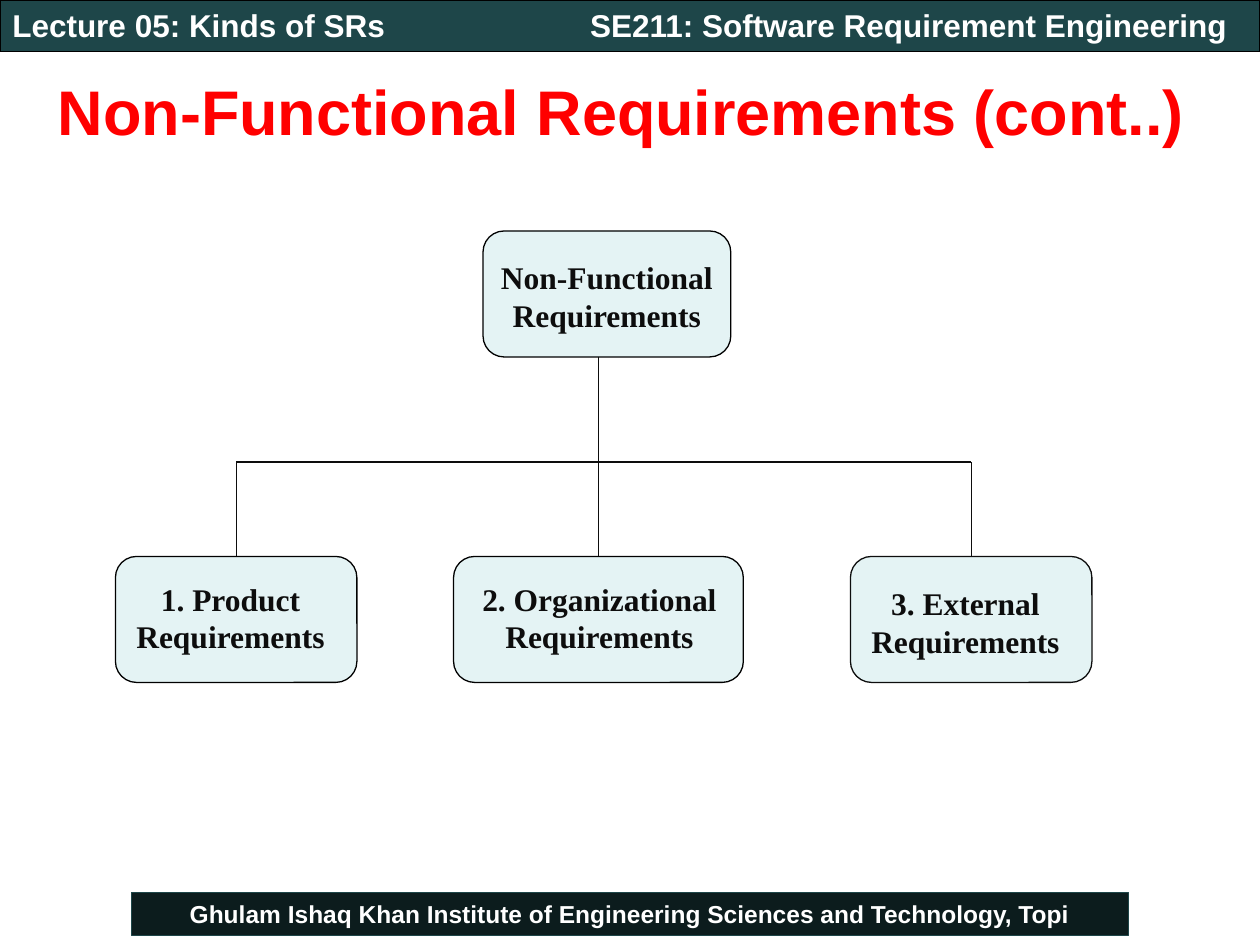
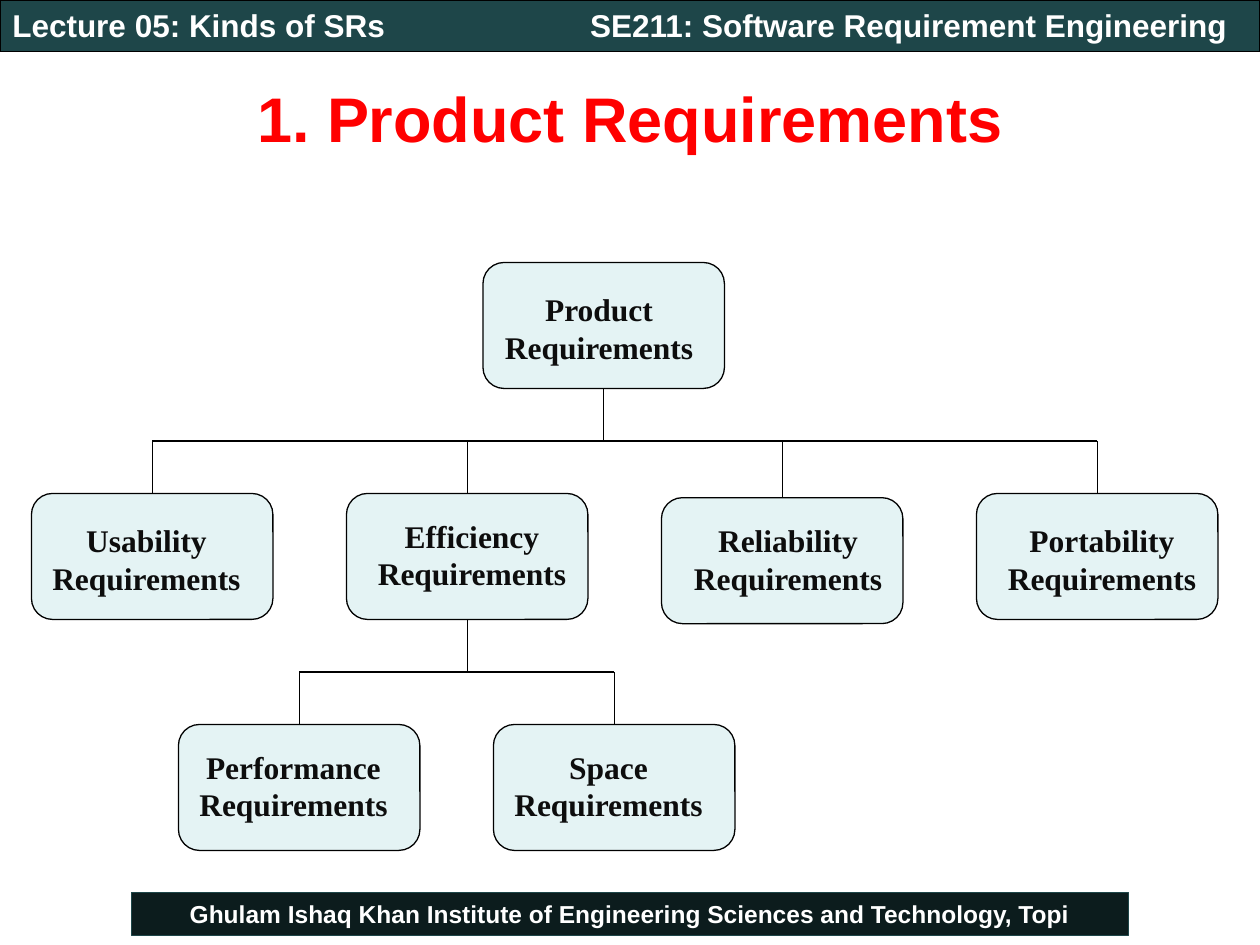
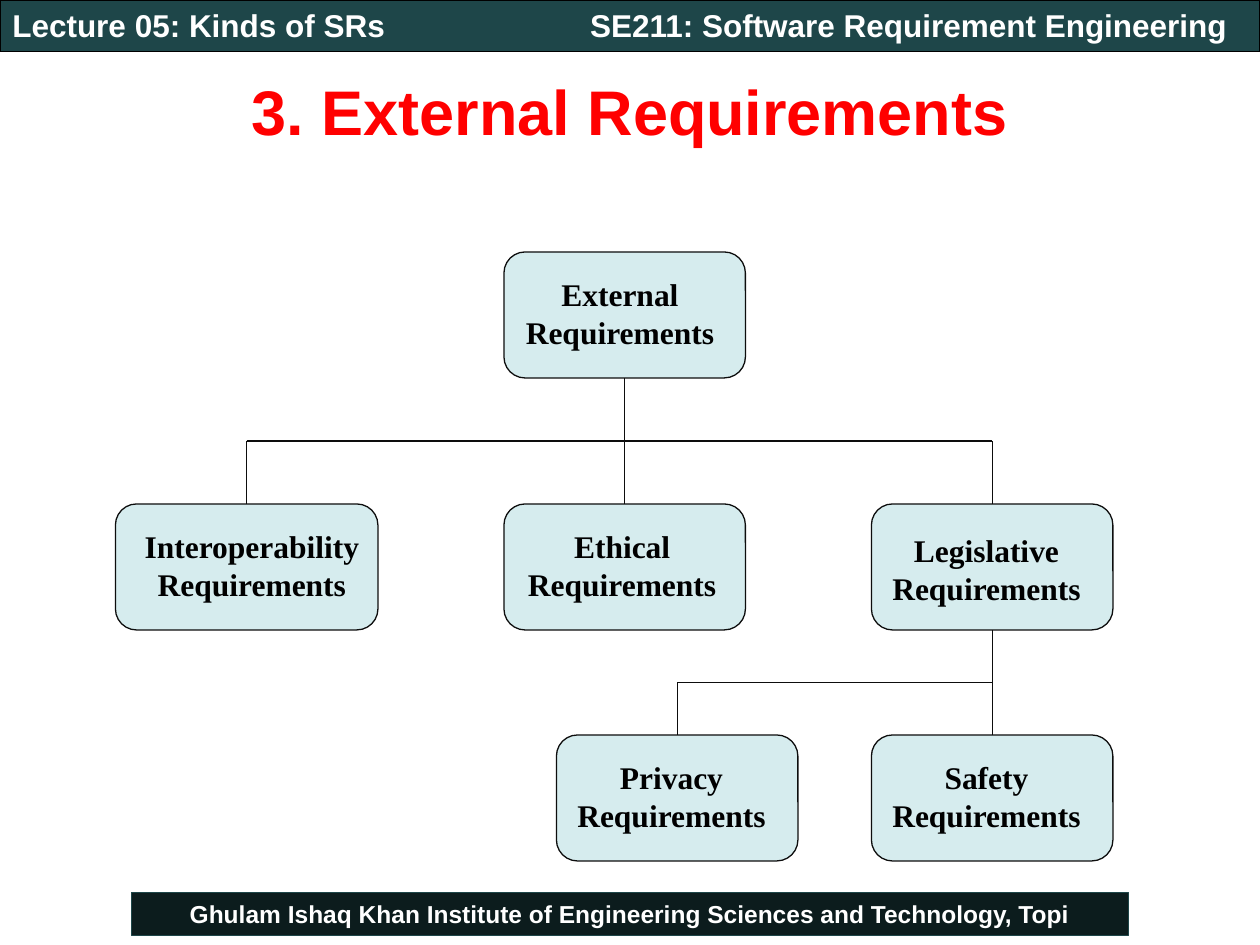
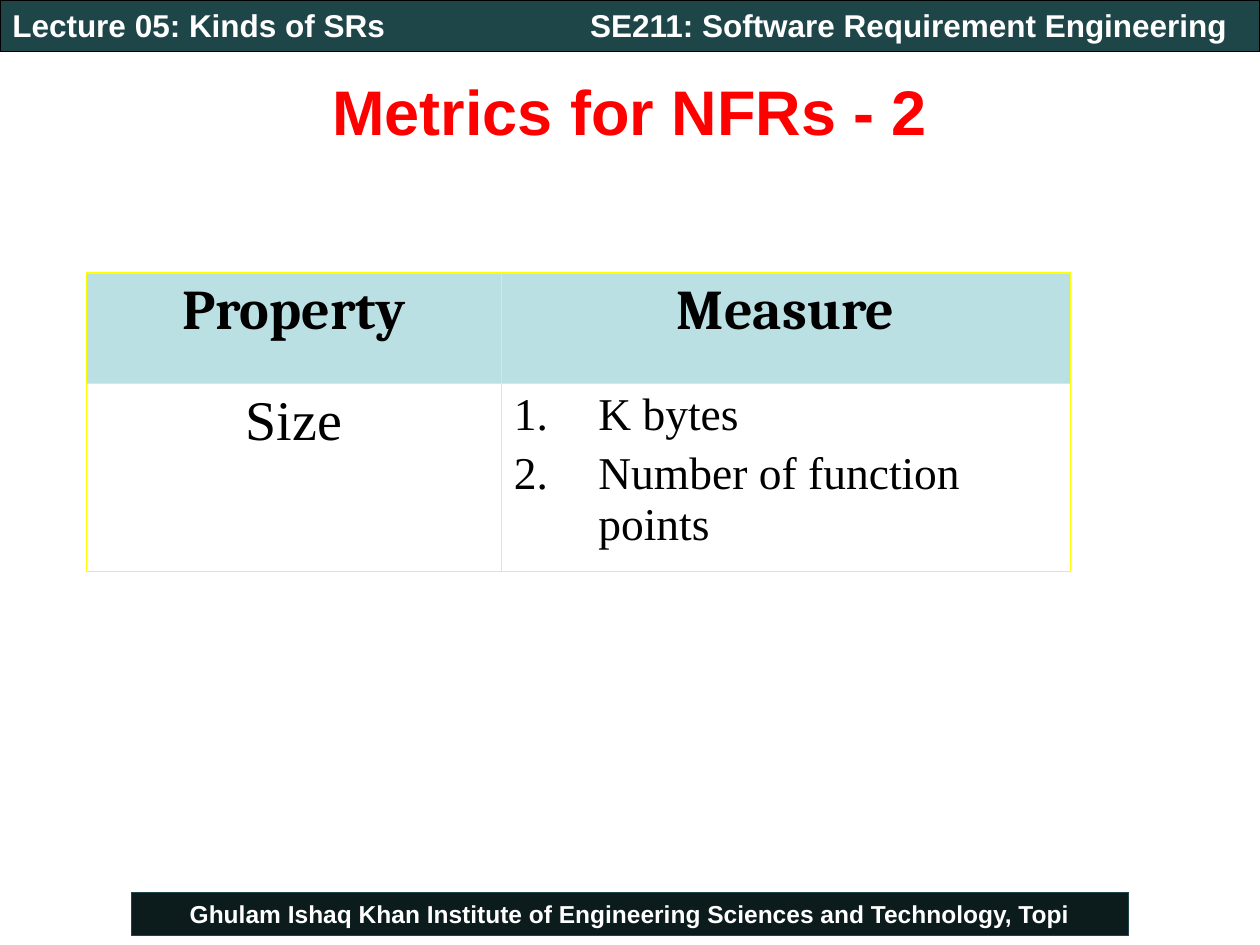
"""Build four lecture slides on non-functional requirements."""
import dataclasses
import typing

import lxml.etree
import pptx
import pptx.dml.color
import pptx.enum.shapes
import pptx.enum.text
import pptx.oxml.ns
import pptx.util

WIDTH, HEIGHT = pptx.util.Inches(10), pptx.util.Inches(7.5)
COLUMNS, ROWS = 120, 90
SHAPES = pptx.enum.shapes.MSO_SHAPE
ALIGN = pptx.enum.text.PP_ALIGN
ANCHOR = pptx.enum.text.MSO_ANCHOR
BLACK, INK, WHITE, RED = "000000", "0D0D0D", "FFFFFF", "FF0000"
BAND, FOOTER, MINT, AQUA = "1E4649", "0C1C1D", "E4F3F4", "D6ECEE"
HEADER_FILL, YELLOW, GRAY = "BBE0E3", "FFFF00", "E0E0E0"
SANS, SERIF, HEADING = "Arial", "Times New Roman", "Cambria"


@dataclasses.dataclass(frozen=True)
class Area:
    left: float
    top: float
    width: float
    height: float

    @property
    def middle(self) -> float:
        return self.left + self.width / 2

    @property
    def bottom(self) -> float:
        return self.top + self.height


@dataclasses.dataclass(frozen=True)
class Style:
    size: float
    font: str
    color: str
    bold: bool = True
    align: typing.Any = ALIGN.CENTER


@dataclasses.dataclass(frozen=True)
class Node:
    kind: str
    left: float
    top: float
    inset: float = 0.7
    drop: float = 1.6
    width: float = 23
    label_width: float = 20.5
    outline: str = BLACK

    @property
    def area(self) -> Area:
        return Area(self.left, self.top, self.width, 12)

    @property
    def label(self) -> Area:
        return Area(self.left + self.inset, self.top + self.drop, self.label_width, 8.5)


@dataclasses.dataclass(frozen=True)
class Branch:
    parent: str
    bus: float
    children: tuple[str, ...]
    through: str = ""


@dataclasses.dataclass(frozen=True)
class Tree:
    title: str
    title_area: Area
    fill: str
    ink: str
    line: str
    nodes: tuple[Node, ...]
    branches: tuple[Branch, ...]


TITLE_AREA = Area(0, 5, 120, 11)
TITLE_STYLE = Style(36, SANS, RED)
BAND_STYLE = Style(18, SANS, WHITE, align=ALIGN.LEFT)

TREES = (
    Tree("Non-Functional Requirements (cont..) ", TITLE_AREA, MINT, INK, INK, (
        Node("Non-Functional", 46, 22, 0.4, 2, 23.6, 22.8),
        Node("2. Organizational", 43.2, 53, 1.4, width=27.6, label_width=25),
        Node("3. External", 81, 53, drop=2, outline=INK),
        Node("1. Product", 11, 53),
    ), (
        Branch("Non-Functional", 44, ("1. Product", "3. External"), "2. Organizational"),
    )),
    Tree("1. Product Requirements", Area(8.3, 4.4, 103.4, 13.5), MINT, INK, BLACK, (
        Node("Product", 46, 25, 0.8, 2),
        Node("Usability", 3, 47, drop=2),
        Node("Efficiency", 33, 47, 1.7),
        Node("Reliability", 63, 47.4, 1.8),
        Node("Portability", 93, 47, 1.7, 2),
        Node("Performance", 17, 69),
        Node("Space", 47, 69),
    ), (
        Branch("Product", 42, ("Usability", "Efficiency", "Reliability", "Portability")),
        Branch("Efficiency", 64, ("Performance", "Space")),
    )),
    Tree("3. External Requirements", TITLE_AREA, AQUA, BLACK, INK, (
        Node("External", 48, 24, 0.8, outline=INK),
        Node("Interoperability", 11, 48, 1.5, width=25, label_width=23, outline=INK),
        Node("Ethical", 48, 48, 1, outline=INK),
        Node("Legislative", 83, 48, drop=2, outline=INK),
        Node("Privacy", 53, 70, outline=INK),
        Node("Safety", 83, 70, outline=INK),
    ), (
        Branch("External", 42, ("Interoperability", "Ethical", "Legislative")),
        Branch("Legislative", 65, ("Privacy", "Safety")),
    )),
)


def hue(code: str) -> pptx.dml.color.RGBColor:
    """Turn a hex string into a colour."""
    return pptx.dml.color.RGBColor.from_string(code)


def across(columns: float) -> int:
    """Turn grid columns into a length."""
    return round(WIDTH * columns / COLUMNS)


def down(rows: float) -> int:
    """Turn grid rows into a length."""
    return round(HEIGHT * rows / ROWS)


def place(area: Area) -> tuple[int, int, int, int]:
    """Turn a grid area into left, top, width and height."""
    return across(area.left), down(area.top), across(area.width), down(area.height)


def assign(target: typing.Any, values: dict[str, typing.Any]) -> None:
    """Set each named attribute of the target."""
    for name, value in values.items():
        setattr(target, name, value)


def write(frame: typing.Any, lines: typing.Sequence[str], style: Style) -> None:
    """Write one styled paragraph for each line."""
    for index, line in enumerate(lines):
        para = frame.add_paragraph() if index else frame.paragraphs[0]
        para.alignment = style.align
        span = para.add_run()
        span.text = line
        assign(span.font, {"size": pptx.util.Pt(style.size), "name": style.font, "bold": style.bold})
        span.font.color.rgb = hue(style.color)


def add_box(page: typing.Any, area: Area, fill: str, outline: str = "", kind: typing.Any = SHAPES.RECTANGLE) -> typing.Any:
    """Draw a filled shape, outlined if a colour is given."""
    box = page.shapes.add_shape(kind, *place(area))
    box.shadow.inherit = False
    box.fill.solid()
    box.fill.fore_color.rgb = hue(fill)
    if outline:
        box.line.color.rgb = hue(outline)
        box.line.width = pptx.util.Pt(0.75)
    else:
        box.line.fill.background()
    assign(box.text_frame, {"vertical_anchor": ANCHOR.TOP, "word_wrap": True})
    return box


def add_text(page: typing.Any, area: Area, text: str, style: Style, frame_format: dict[str, typing.Any]) -> None:
    """Add a wrapped text box."""
    box = page.shapes.add_textbox(*place(area))
    assign(box.text_frame, {"word_wrap": True, **frame_format})
    write(box.text_frame, [text], style)


def add_page(deck: typing.Any, title: str, title_area: Area) -> typing.Any:
    """Add a page with its bands and title."""
    page = deck.slides.add_slide(deck.slide_layouts[6])
    footer = add_box(page, Area(12.5, 85, 95, 4.1), FOOTER, BAND)
    write(footer.text_frame, ["Ghulam Ishaq Khan Institute of Engineering Sciences and Technology, Topi"], Style(14, SANS, WHITE))
    header = add_box(page, Area(0, 0, 120, 4.9), BAND, BLACK)
    write(header.text_frame, ["Lecture 05: Kinds of SRs"], BAND_STYLE)
    add_text(page, Area(43, 0, 77, 4.8), "SE211: Software Requirement Engineering", BAND_STYLE, {"margin_left": pptx.util.Inches(1.1)})
    add_text(page, title_area, title, TITLE_STYLE, {"vertical_anchor": ANCHOR.MIDDLE})
    return page


def add_line(page: typing.Any, start: tuple[float, float], end: tuple[float, float], color: str) -> typing.Any:
    """Draw a thin straight connector between two grid points."""
    line = page.shapes.add_connector(
        pptx.enum.shapes.MSO_CONNECTOR.STRAIGHT,
        across(start[0]), down(start[1]), across(end[0]), down(end[1]))
    line.line.color.rgb = hue(color)
    line.line.width = pptx.util.Pt(0.75)
    lxml.etree.SubElement(line._element.spPr, pptx.oxml.ns.qn("a:effectLst"))
    return line


def add_branch(page: typing.Any, branch: Branch, nodes: dict[str, Node], boxes: dict[str, typing.Any], color: str) -> None:
    """Join a parent box to its children over a bus line."""
    parent = nodes[branch.parent].area
    if branch.through:
        child = nodes[branch.through].area
        trunk = add_line(page, (child.middle, parent.bottom), (child.middle, child.top), color)
        trunk.end_connect(boxes[branch.through], 0)
    else:
        trunk = add_line(page, (parent.middle, parent.bottom), (parent.middle, branch.bus), color)
        trunk.begin_connect(boxes[branch.parent], 2)
    for name in branch.children:
        child = nodes[name].area
        stem = add_line(page, (child.middle, branch.bus), (child.middle, child.top), color)
        stem.end_connect(boxes[name], 0)
    middles = [nodes[name].area.middle for name in branch.children]
    add_line(page, (min(middles), branch.bus), (max(middles), branch.bus), color)


def add_tree(deck: typing.Any, tree: Tree) -> None:
    """Add a page with a tree of requirement kinds."""
    page = add_page(deck, tree.title, tree.title_area)
    nodes = {node.kind: node for node in tree.nodes}
    boxes = {}
    for node in tree.nodes:
        boxes[node.kind] = add_box(page, node.area, tree.fill, node.outline, SHAPES.ROUNDED_RECTANGLE)
        boxes[node.kind].adjustments[0] = 0.167
    for branch in tree.branches:
        add_branch(page, branch, nodes, boxes, tree.line)
    for node in tree.nodes:
        label = add_box(page, node.label, tree.fill)
        label.text_frame.word_wrap = False
        write(label.text_frame, [node.kind, "Requirements"], Style(18, SERIF, tree.ink))


def set_borders(cell: typing.Any, colors: dict[str, str]) -> None:
    """Set the cell's borders, in the order left, right, top, bottom."""
    properties = cell._tc.get_or_add_tcPr()
    for index, (side, color) in enumerate(colors.items()):
        width = pptx.util.Pt(1 if color == YELLOW else 0.25)
        border = lxml.etree.Element(pptx.oxml.ns.qn(f"a:ln{side}"), w=str(width))
        fill = lxml.etree.SubElement(border, pptx.oxml.ns.qn("a:solidFill"))
        lxml.etree.SubElement(fill, pptx.oxml.ns.qn("a:srgbClr"), val=color)
        properties.insert(index, border)


def number(para: typing.Any) -> None:
    """Give a paragraph an automatic number and a hanging indent."""
    indent = pptx.util.Inches(0.67)
    properties = para._p.get_or_add_pPr()
    properties.set("marL", str(indent))
    properties.set("indent", str(-indent))
    para.space_before = pptx.util.Pt(5)
    lxml.etree.SubElement(properties, pptx.oxml.ns.qn("a:buAutoNum"), type="arabicPeriod")


def add_metrics(deck: typing.Any) -> None:
    """Add the page with the table of metrics."""
    page = add_page(deck, "Metrics for NFRs - 2", TITLE_AREA)
    table = page.shapes.add_table(2, 2, *place(Area(8.25, 26, 93.7, 28.4))).table
    assign(table, {"first_row": False, "horz_banding": False})
    for column, width in zip(table.columns, (39.5, 54.2)):
        column.width = across(width)
    for row, height in zip(table.rows, (10.55, 17.85)):
        row.height = down(height)
    heading = Style(32, HEADING, BLACK)
    content = (
        ((["Property"], heading), (["Measure"], heading)),
        ((["Size"], Style(32, SERIF, BLACK, False)),
         (["K bytes", "Number of function points"], Style(26, SERIF, BLACK, False, ALIGN.LEFT))),
    )
    for row, cells in enumerate(content):
        for column, (lines, style) in enumerate(cells):
            cell = table.cell(row, column)
            write(cell.text_frame, lines, style)
            if row:
                cell.fill.background()
            else:
                cell.fill.solid()
                cell.fill.fore_color.rgb = hue(HEADER_FILL)
            set_borders(cell, {
                "L": GRAY if column else YELLOW, "R": YELLOW if column else GRAY,
                "T": YELLOW, "B": GRAY if row else YELLOW})
    for para in table.cell(1, 1).text_frame.paragraphs:
        number(para)


def main() -> None:
    """Build and save the deck."""
    deck = pptx.Presentation()
    assign(deck, {"slide_width": WIDTH, "slide_height": HEIGHT})
    for tree in TREES:
        add_tree(deck, tree)
    add_metrics(deck)
    deck.save("out.pptx")


if __name__ == "__main__":
    main()
